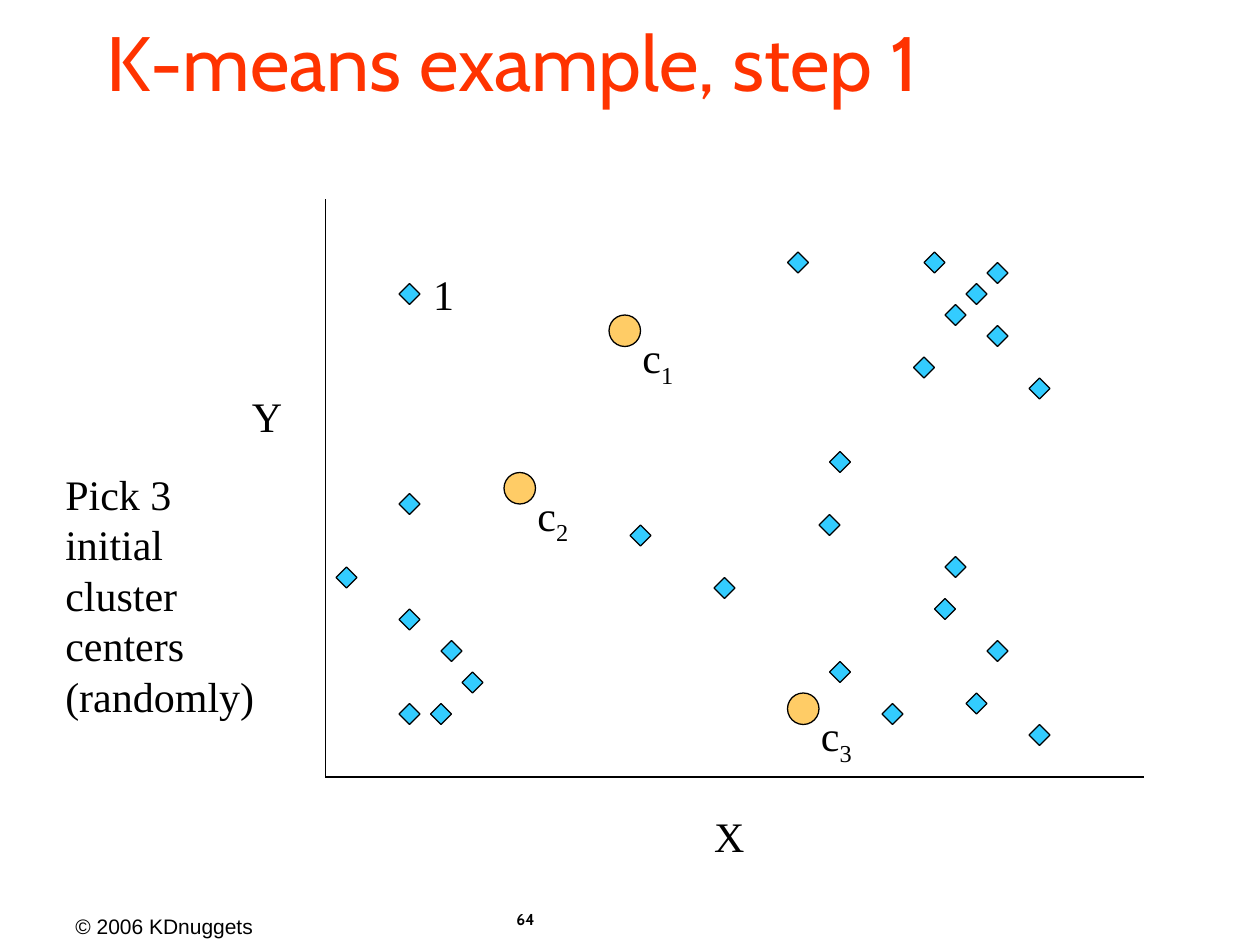
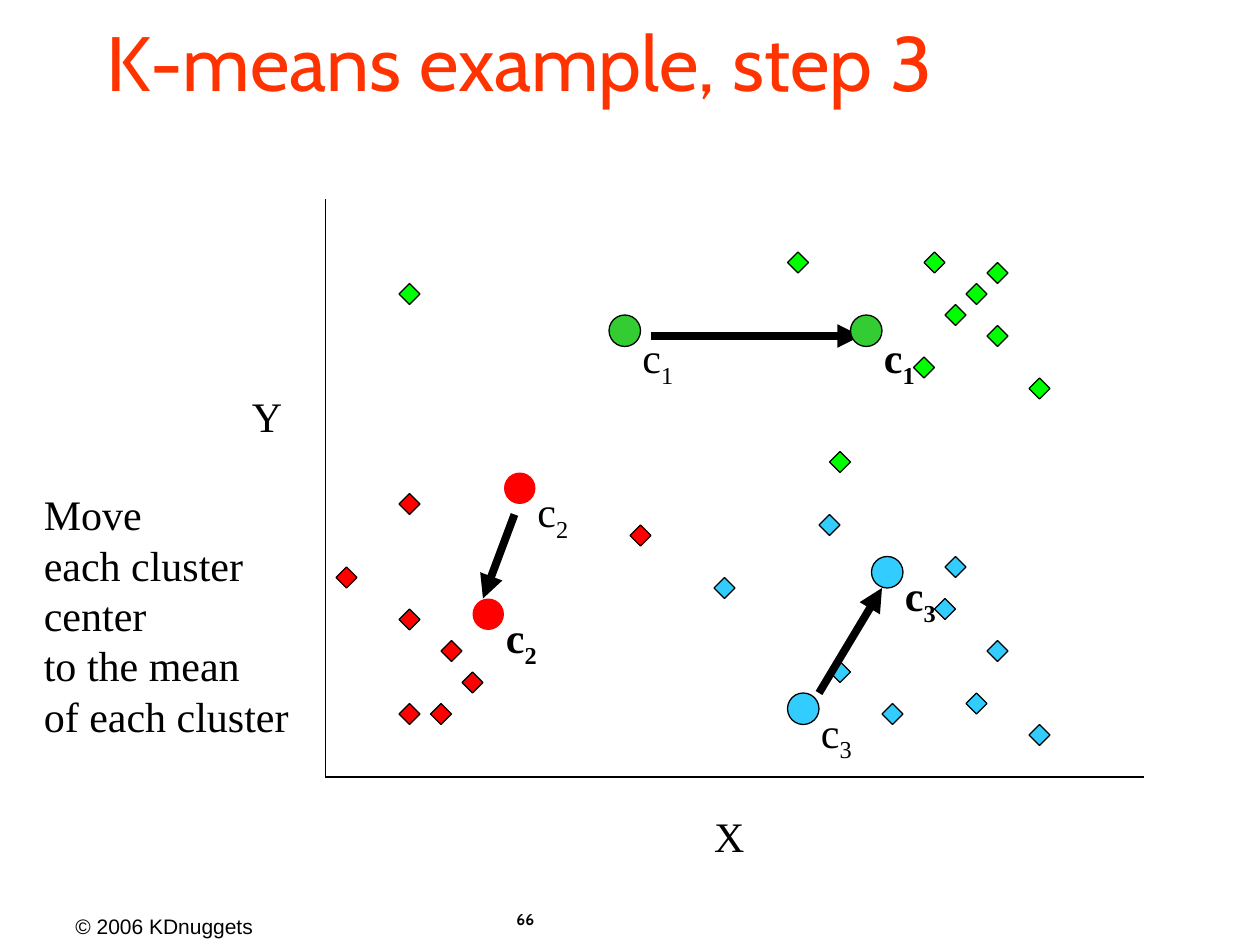
"""Build two slides of a k-means walk-through: picking centers and moving them."""
from dataclasses import dataclass

from lxml.etree import SubElement
from pptx import Presentation
from pptx.dml.color import RGBColor
from pptx.enum.shapes import MSO_CONNECTOR as Connector, MSO_SHAPE as Preset
from pptx.enum.text import MSO_ANCHOR as Anchor, MSO_AUTO_SIZE as AutoSize
from pptx.oxml.ns import qn
from pptx.util import Inches, Pt


@dataclass(frozen=True)
class Theme:
    black = RGBColor.from_string("000000")
    title_red = RGBColor.from_string("FF3300")
    sky = RGBColor.from_string("33CCFF")
    red = RGBColor.from_string("FF0000")
    lime = RGBColor.from_string("00FF00")
    green = RGBColor.from_string("33CC33")
    amber = RGBColor.from_string("FFCC66")
    title = {"name": "Cabin", "size": Pt(44)}
    body = {"name": "Times New Roman", "size": Pt(24)}
    strong = {**body, "bold": True}
    copyright = {"name": "Arial", "size": Pt(12)}
    number = {"name": "Cabin", "size": Pt(9), "bold": True}
    thin = Pt(0.75)
    thick = Pt(4.5)


CLUSTERS = {
    1: [(38, 27), (88, 24), (94, 25), (92, 27), (90, 29),
        (94, 31), (98, 36), (75, 24), (79, 43), (87, 34)],
    2: [(42, 61), (44, 64), (41, 67), (38, 58), (38, 47), (38, 67), (32, 54), (60, 50)],
    3: [(79, 63), (84, 67), (89, 57), (78, 49), (68, 55), (94, 61), (92, 66), (90, 53), (98, 69)],
}
INITIAL_CENTERS = {1: (58, 30), 2: (48, 45), 3: (75, 66)}
MOVED_CENTERS = {1: (81, 30), 2: (45, 57), 3: (83, 53)}
MOVES = [((62, 32), (82, 32)), ((49, 49), (46, 57)), ((78, 66), (84, 56))]
AXIS_TOP, ORIGIN, AXIS_RIGHT = (31, 19), (31, 74), (109, 74)


def grid(*units):
    """Turn twelfths of an inch into lengths."""
    return [Inches(unit / 12) for unit in units]


class Deck:
    """Hold the theme, the presentation and the current slide."""

    def __init__(self, theme):
        self.theme = theme
        self.show = Presentation()
        self.show.slide_width, self.show.slide_height = Inches(10), Inches(7.5)
        self.slide = None

    def start_slide(self, title, number):
        """Add a slide with its title and footer."""
        self.slide = self.show.slides.add_slide(self.show.slide_layouts[6])
        theme = self.theme
        self.text((0.5, 7.2, 1.61, 0.3), ["© 2006 KDnuggets"], theme.copyright)
        self.text((4, 7.17, 1.02, 0.33), [number], theme.number, wrap=True)
        heading = self.text((0.75, 0.25, 8.5, 0.58), [title], theme.title,
                            color=theme.title_red, wrap=True, anchor=Anchor.MIDDLE)
        heading.paragraphs[0].line_spacing = 0.85

    def text(self, box, lines, style, color=None, wrap=False, anchor=Anchor.TOP):
        """Add a text box with one paragraph for each line."""
        frame = self.slide.shapes.add_textbox(*map(Inches, box)).text_frame
        layout = {"word_wrap": wrap, "vertical_anchor": anchor,
                  "auto_size": AutoSize.NONE if wrap else AutoSize.SHAPE_TO_FIT_TEXT}
        for name, value in layout.items():
            setattr(frame, name, value)
        for index, line in enumerate(lines):
            paragraph = frame.add_paragraph() if index else frame.paragraphs[0]
            self.run(paragraph, line, style, color)
        return frame

    def run(self, paragraph, words, style, color=None):
        """Add a formatted run to a paragraph."""
        run = paragraph.add_run()
        run.text = words
        for name, value in style.items():
            setattr(run.font, name, value)
        run.font.color.rgb = color or self.theme.black
        return run

    def marker(self, preset, place, size, fill, outlined=True):
        """Add a filled marker at a grid place."""
        mark = self.slide.shapes.add_shape(preset, *grid(*place, size, size))
        mark.shadow.inherit = False
        mark.fill.solid()
        mark.fill.fore_color.rgb = fill
        if outlined:
            mark.line.color.rgb = self.theme.black
            mark.line.width = self.theme.thin
        else:
            mark.line.fill.background()

    def line(self, start, end, width, arrow=False):
        """Add a straight line, with an arrowhead at its end if asked."""
        line = self.slide.shapes.add_connector(Connector.STRAIGHT, *grid(*start, *end))
        line.line.color.rgb = self.theme.black
        line.line.width = width
        if arrow:
            SubElement(line.line._get_or_add_ln(), qn("a:tailEnd"), type="triangle")
        SubElement(line._element.spPr, qn("a:effectLst"))

    def points(self, fills):
        """Add the data points, coloured by cluster."""
        for cluster, places in CLUSTERS.items():
            for place in places:
                self.marker(Preset.DIAMOND, place, 2, fills[cluster])

    def center(self, cluster, place, fill, style, outlined=True, anchor=Anchor.TOP):
        """Add a cluster center and its subscripted label."""
        self.marker(Preset.OVAL, place, 3, fill, outlined)
        left, top = place
        height = 0.56 if anchor == Anchor.TOP else 0.5
        label = self.text(((left + 2) / 12, (top + 1) / 12, 0.58, height), ["c"], style,
                          wrap=True, anchor=anchor)
        subscript = self.run(label.paragraphs[0], str(cluster), style)
        subscript._r.get_or_add_rPr().set("baseline", "-25000")

    def axes(self):
        """Add both axes and their names."""
        for end in (AXIS_TOP, AXIS_RIGHT):
            self.line(ORIGIN, end, self.theme.thin)
        for name, left, top in (("X", 5.57, 6.38), ("Y", 1.9, 3.05)):
            self.text((left, top, 0.44, 0.5), [name], self.theme.body)


def pick_centers(deck):
    """Build the slide with the initial centers."""
    theme = deck.theme
    deck.start_slide("K-means example, step 1", "64")
    deck.points(dict.fromkeys(CLUSTERS, theme.sky))
    for cluster, place in INITIAL_CENTERS.items():
        deck.center(cluster, place, theme.amber, theme.body)
    deck.axes()
    deck.text((0.42, 3.67, 1.7, 2.5),
              ["Pick 3", "initial", "cluster", "centers", "(randomly)"], theme.body)
    deck.text((3.34, 2.08, 0.36, 0.5), ["1"], theme.body)


def move_centers(deck):
    """Build the slide with the centers moved to their cluster means."""
    theme = deck.theme
    deck.start_slide("K-means example, step 3", "66")
    deck.points({1: theme.lime, 2: theme.red, 3: theme.sky})
    for start, end in MOVES:
        deck.line(start, end, theme.thick, arrow=True)
    deck.axes()
    deck.text((0.25, 3.83, 2.33, 2.5),
              ["Move", "each cluster center", "to the mean", "of each cluster"],
              theme.body, wrap=True)
    fills = {1: theme.green, 2: theme.red, 3: theme.sky}
    for centers, style in ((INITIAL_CENTERS, theme.body), (MOVED_CENTERS, theme.strong)):
        for cluster, place in centers.items():
            deck.center(cluster, place, fills[cluster], style, outlined=cluster != 2,
                        anchor=Anchor.TOP if cluster == 1 else Anchor.MIDDLE)


def main():
    """Build and save the slides."""
    deck = Deck(Theme())
    pick_centers(deck)
    move_centers(deck)
    deck.show.save("out.pptx")


if __name__ == "__main__":
    main()
